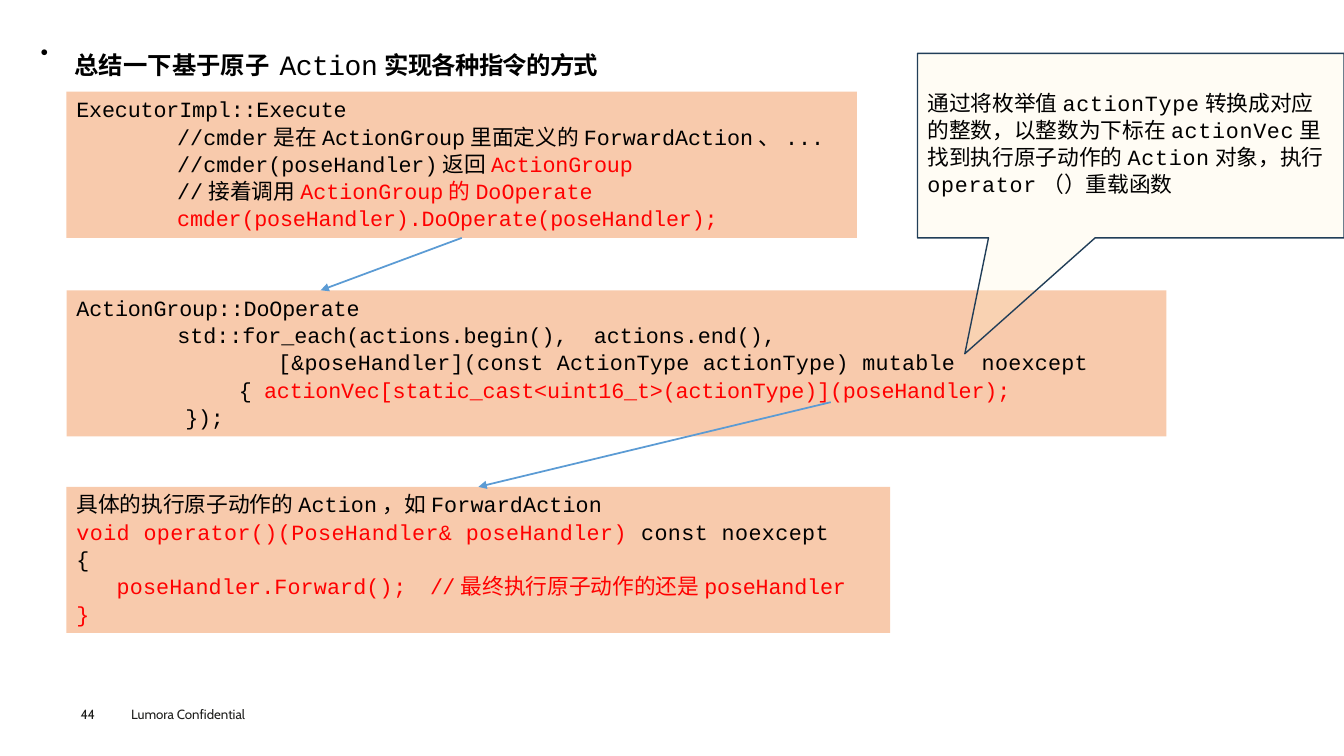
from itertools import groupby

from lxml import etree
from pptx import Presentation
from pptx.dml.color import RGBColor
from pptx.enum.shapes import MSO_CONNECTOR, MSO_SHAPE
from pptx.enum.text import MSO_ANCHOR, PP_ALIGN
from pptx.oxml.ns import qn
from pptx.util import Inches, Pt

BLACK = RGBColor(0x00, 0x00, 0x00)
RED = RGBColor(0xFF, 0x00, 0x00)
PEACH = RGBColor(0xF8, 0xCA, 0xAC)
CREAM = RGBColor(0xFF, 0xF1, 0xCC)
NAVY = RGBColor(0x21, 0x3E, 0x58)
BLUE = RGBColor(0x5B, 0x9B, 0xD4)
FOOTER_INK = RGBColor(0x1D, 0x1D, 0x1B)
RECTANGLE = MSO_SHAPE.RECTANGLE
CALLOUT = MSO_SHAPE.RECTANGULAR_CALLOUT
STRAIGHT = MSO_CONNECTOR.STRAIGHT
TOP = MSO_ANCHOR.TOP
LEFT = PP_ALIGN.LEFT
BOTTOM_SIDE, TOP_SIDE = 2, 0


def is_cjk(char):
    return ord(char) > 0x2E7F


class Board:
    code_font = "Courier New"
    cjk_font = "Roboto"
    code_size = 15.5
    line_pitch = Pt(19.5)

    def __init__(self, slide):
        self.slide = slide

    def style_run(self, run, font, size, color, spacing=0, bold=False):
        run.font.name = font
        run.font.size = Pt(size)
        run.font.bold = bold
        run.font.color.rgb = color
        properties = run.font._element
        properties.set("spc", str(round(spacing * 100)))
        east_asian = etree.SubElement(properties, qn("a:ea"))
        east_asian.set("typeface", font)

    def prepare(self, frame, left=0, top=0, right=0):
        frame.word_wrap = True
        frame.vertical_anchor = TOP
        frame.margin_left = Inches(left)
        frame.margin_top = Inches(top)
        frame.margin_right = Inches(right)
        frame.margin_bottom = 0

    def mixed_text(self, paragraph, pieces):
        paragraph.alignment = LEFT
        for text, color, spacing in pieces:
            for cjk, chars in groupby(text, is_cjk):
                run = paragraph.add_run()
                run.text = "".join(chars)
                font = self.cjk_font if cjk else self.code_font
                self.style_run(run, font, self.code_size, color, 0 if cjk else spacing)

    def block(self, kind, left, top, width, height, fill):
        block = self.slide.shapes.add_shape(
            kind, Inches(left), Inches(top), Inches(width), Inches(height))
        block.shadow.inherit = False
        block.fill.solid()
        block.fill.fore_color.rgb = fill
        return block

    def code_box(self, top, width, lines):
        box = self.block(RECTANGLE, 0.66, top, width, 1.45, PEACH)
        box.line.fill.background()
        frame = box.text_frame
        self.prepare(frame, left=0.1, top=0.03)
        for number, (indent, pieces) in enumerate(lines):
            paragraph = frame.add_paragraph() if number else frame.paragraphs[0]
            paragraph.line_spacing = self.line_pitch
            paragraph._p.get_or_add_pPr().set("marL", str(Inches(indent)))
            self.mixed_text(paragraph, pieces)
        return box

    def callout(self, left, top, width, height, tip, text):
        note = self.block(CALLOUT, left, top, width, height, CREAM)
        note.adjustments[0] = (tip[0] - left) / width - 0.5
        note.adjustments[1] = (tip[1] - top) / height - 0.5
        color = note._element.spPr.find(qn("a:solidFill"))[0]
        etree.SubElement(color, qn("a:alpha")).set("val", "21000")
        note.line.color.rgb = NAVY
        note.line.width = Pt(1)
        self.prepare(note.text_frame, left=0.1, top=0.35, right=0.13)
        paragraph = note.text_frame.paragraphs[0]
        paragraph.line_spacing = 1.04
        self.mixed_text(paragraph, [(text, BLACK, 0.5)])

    def label(self, left, top, width, height, pieces, color=BLACK):
        box = self.slide.shapes.add_textbox(
            Inches(left), Inches(top), Inches(width), Inches(height))
        self.prepare(box.text_frame, left=0.01, top=0.02)
        box.text_frame.word_wrap = False
        paragraph = box.text_frame.paragraphs[0]
        for text, font, size, spacing, bold, baseline in pieces:
            run = paragraph.add_run()
            run.text = text
            self.style_run(run, font, size, color, spacing, bold)
            if baseline:
                run.font._element.set("baseline", str(baseline))

    def arrow(self, start, end):
        arrow = self.slide.shapes.add_connector(
            STRAIGHT, *(Inches(length) for length in start + end))
        arrow.line.color.rgb = BLUE
        arrow.line.width = Pt(1.25)
        etree.SubElement(arrow.line._get_or_add_ln(), qn("a:tailEnd")).set("type", "triangle")
        etree.SubElement(arrow._element.spPr, qn("a:effectLst"))
        return arrow


def main():
    deck = Presentation()
    deck.slide_width = Inches(13.33)
    deck.slide_height = Inches(7.5)
    board = Board(deck.slides.add_slide(deck.slide_layouts[6]))

    board.label(0.39, 0.41, 0.13, 0.19, [("●", "Arial", 9.5, -0.5, False, 0)])
    board.label(0.73, 0.31, 5.77, 0.37, [
        ("总结一下基于原子", "Noto Sans CJK JP", 30, 0, True, 1000),
        ("Action", "Courier New", 20, -0.4, False, 0),
        ("实现各种指令的方式", "Noto Sans CJK JP", 30, -0.5, True, 1000),
    ])

    execute = board.code_box(0.91, 7.84, [
        (0, [("ExecutorImpl::Execute", BLACK, -0.1)]),
        (1, [("//cmder是在ActionGroup里面定义的ForwardAction、...", BLACK, 0)]),
        (1, [("//cmder(poseHandler)返回", BLACK, 0), ("ActionGroup", RED, -0.1)]),
        (1, [("//接着调用", BLACK, 0), ("ActionGroup的DoOperate", RED, 0)]),
        (1, [("cmder(poseHandler).DoOperate(poseHandler);", RED, -0.1)]),
    ])
    board.code_box(2.88, 10.91, [
        (0, [("ActionGroup::DoOperate", BLACK, -0.1)]),
        (1, [("std::for_each(actions.begin(),  actions.end(),", BLACK, 0)]),
        (2, [("[&poseHandler](const ActionType actionType) mutable  noexcept", BLACK, 0.2)]),
        (1.61, [("{ ", BLACK, -0.5),
                ("actionVec[static_cast<uint16_t>(actionType)](poseHandler);", RED, -0.1)]),
        (1.08, [("});", BLACK, -0.2)]),
    ])
    board.callout(9.1, 0.53, 4.23, 1.83, (9.57, 3.51),
                  "通过将枚举值actionType转换成对应的整数，以整数为下标在actionVec"
                  "里找到执行原子动作的Action对象，执行 operator（）重载函数")
    forward = board.code_box(4.83, 8.17, [
        (0, [("具体的执行原子动作的Action，如ForwardAction", BLACK, 0.1)]),
        (0, [("void operator()(PoseHandler& poseHandler) ", RED, 0.3),
             ("const noexcept", BLACK, 0.3)]),
        (0, [("{", BLACK, -0.5)]),
        (0.4, [("poseHandler.Forward()", RED, 0.1), (";  //", RED, -0.5),
               ("最终执行原子动作的还是poseHandler", RED, -0.1)]),
        (0, [("}", RED, -0.5)]),
    ])

    board.arrow((4.58, 2.36), (3.18, 2.88)).begin_connect(execute, BOTTOM_SIDE)
    board.arrow((8.24, 3.99), (4.74, 4.83)).end_connect(forward, TOP_SIDE)

    board.label(0.79, 6.99, 0.24, 0.16, [("44", "Cabin", 9.5, -0.2, False, 0)], FOOTER_INK)
    board.label(1.29, 6.99, 1.17, 0.16,
                [("Lumora Confidential", "Cabin", 9.5, 0, False, 0)], FOOTER_INK)

    deck.save("out.pptx")


if __name__ == "__main__":
    main()
